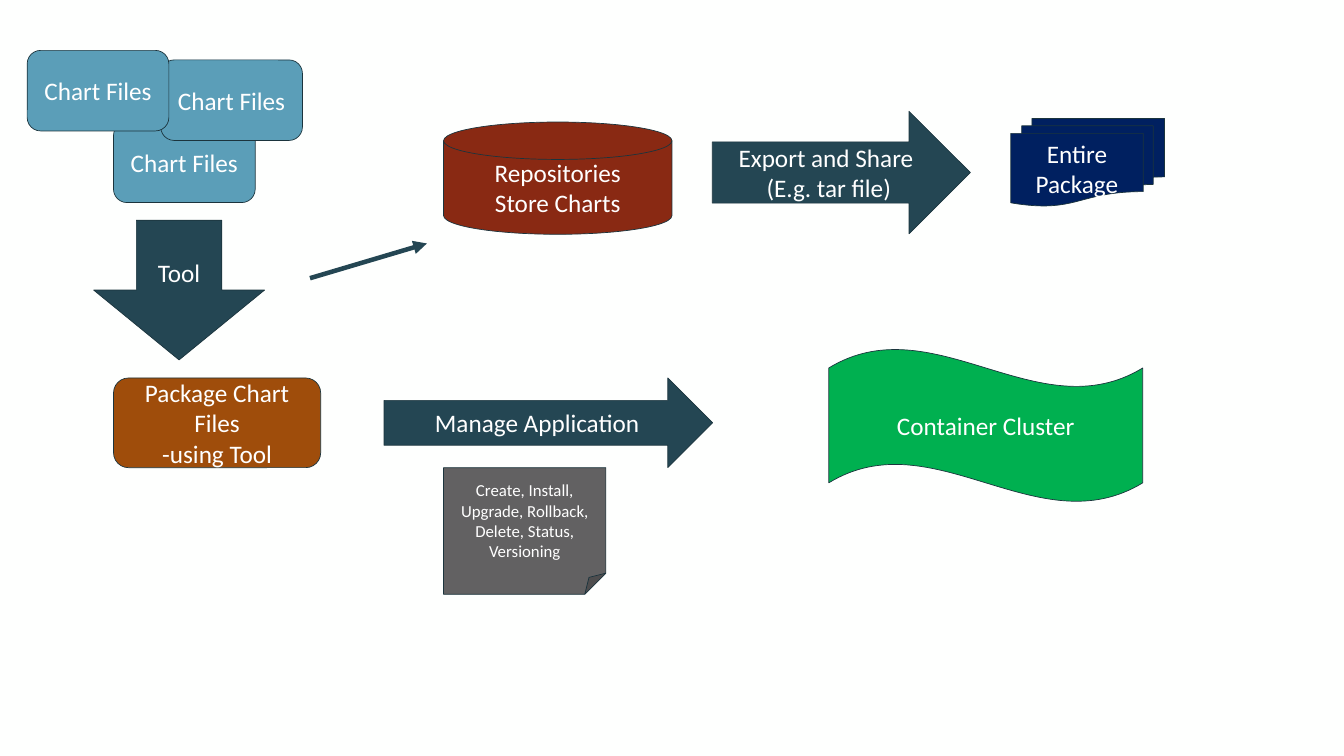
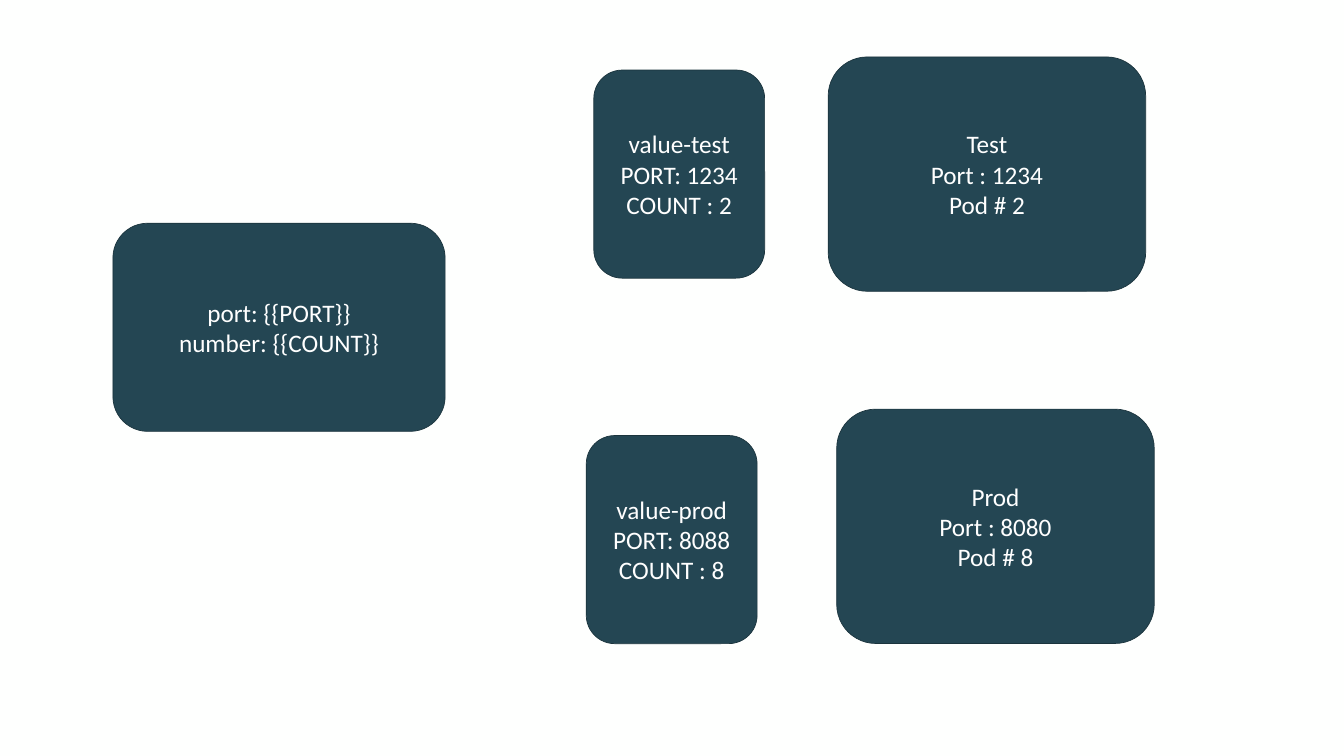
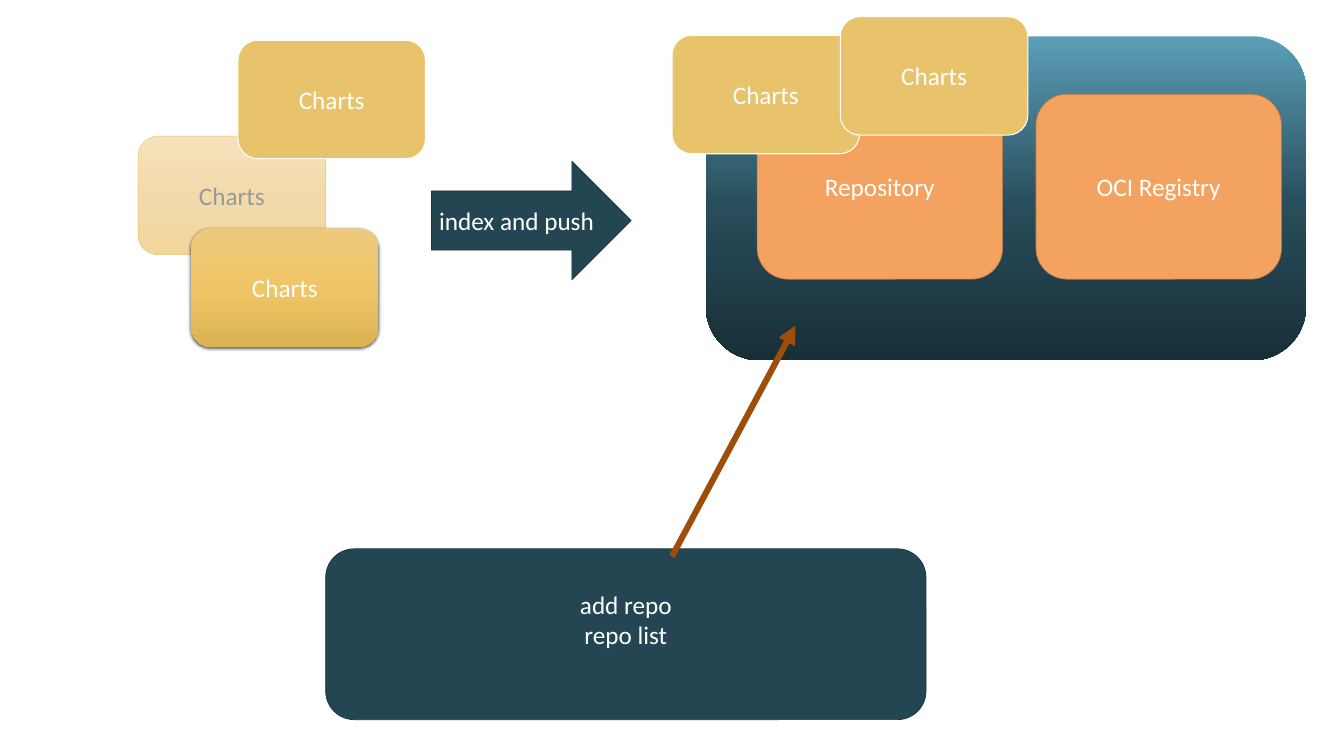
from lxml.etree import SubElement
from pptx import Presentation
from pptx.dml.color import RGBColor
from pptx.enum.shapes import MSO_CONNECTOR, MSO_SHAPE
from pptx.enum.text import MSO_ANCHOR, PP_ALIGN
from pptx.oxml.ns import qn
from pptx.util import Cm, Pt

COLORS = {
    "paper": "FEFFFE", "white": "FFFFFF", "faded text": "999999",
    "teal": "244653", "outline": "1B343D", "sky": "5B9EB8",
    "rust": "9F4D0B", "brick": "892913", "navy": "002060",
    "green": "00B050", "grey": "626162", "gold": "E9C36B",
    "orange": "F4A260", "orange edge": "B57847", "black": "000000",
}
FONT = "Calibri"
TEXT_SIZE = 36

# Gradients run from top to bottom: (position in %, colour)
GRADIENTS = {
    "faded gold": [(0, "F5E1BA"), (50, "F2DAAB"), (100, "F3D69C")],
    "raised gold": [(0, "EDCA7E"), (50, "EFC565"), (100, "DCB352")],
    "panel": [(0, "5B9EB8"), (52, "284D5B"), (100, "182F38")],
}

# Fills that depart from the thin dark outline: (line colour, width)
OUTLINES = {
    "faded gold": ("gold", 0.5), "gold": ("white", 1.5),
    "raised gold": None, "panel": None, "orange": ("orange edge", 1),
}

ROUND = MSO_SHAPE.ROUNDED_RECTANGLE
RIGHT = MSO_SHAPE.RIGHT_ARROW

# Sizes shared by several boxes, in cm
FILE = (7.14, 4.06)
VALUES = (8.61, 10.49)
ENVIRONMENT = (16, 11.81)
CHART = (9.45, 5.97)
STORE = (12.37, 9.32)
WIDE = 30.25

# Box: (shape, fill, (left, top), (width, height), lines, extra format)
# Arrow: ("arrow", colour, start, end, width in points)
WORKFLOW = [
    *[(ROUND, "sky", corner, FILE, ["Chart Files"])
      for corner in [(5.72, 6.15), (8.1, 3.02), (1.37, 2.54)]],
    (ROUND, "rust", (5.72, 19.05), (10.44, 4.52),
     ["Package Chart Files", "-using Tool"]),
    (MSO_SHAPE.DOWN_ARROW, "teal", (4.72, 11.1), (8.61, 7.04), ["Tool"]),
    (MSO_SHAPE.FLOWCHART_MAGNETIC_DISK, "brick", (22.35, 6.15), (11.51, 5.66),
     ["Repositories", "Store Charts"]),
    ("arrow", "teal", (15.62, 14.02), (21.51, 12.27), 6.5),
    (RIGHT, "teal", (35.89, 5.61), (13, 6.17),
     ["Export and Share", " (E.g. tar file)"]),
    (MSO_SHAPE.FLOWCHART_MULTIDOCUMENT, "navy", (50.93, 5.97), (7.75, 4.42),
     ["Entire Package"]),
    (RIGHT, "teal", (19.35, 19.05), (16.56, 4.52), ["Manage Application"]),
    (MSO_SHAPE.WAVE, "green", (41.76, 17.58), (15.82, 7.72),
     ["Container Cluster"]),
    (MSO_SHAPE.FOLDED_CORNER, "grey", (22.35, 23.57), (8.18, 6.38),
     ["Create, Install, Upgrade, Rollback, Delete, Status, Versioning"],
     {"size": 24}),
]

TEMPLATING = [
    (ROUND, "teal", (41.73, 2.87), ENVIRONMENT,
     ["Test", "Port : 1234", "Pod # 2"]),
    (ROUND, "teal", (42.16, 20.62), ENVIRONMENT,
     ["Prod", "Port : 8080", "Pod # 8"]),
    (ROUND, "teal", (29.92, 3.53), VALUES,
     ["value-test", "PORT: 1234", "COUNT : 2"]),
    (ROUND, "teal", (5.69, 11.25), (16.74, 10.49),
     ["port: {{PORT}}", "number: {{COUNT}}"]),
    (ROUND, "teal", (29.54, 21.95), VALUES,
     ["value-prod", "PORT: 8088", "COUNT : 8"]),
]

REGISTRY = [
    (ROUND, "faded gold", (6.96, 6.86), CHART, ["Charts"],
     {"color": "faded text"}),
    (ROUND, "gold", (11.99, 2.03), CHART, ["Charts"]),
    (ROUND, "raised gold", (9.63, 11.51), CHART, ["Charts"],
     {"shadow": True}),
    (RIGHT, "teal", (21.74, 8.13), (10.06, 5.97), ["index and push"]),
    (ROUND, "panel", (35.56, 1.83), (WIDE, 16.33), []),
    (ROUND, "orange", (38.15, 4.75), STORE, ["Repository"]),
    (ROUND, "orange", (52.2, 4.75), STORE, ["OCI Registry"]),
    (ROUND, "teal", (16.41, 27.66), (WIDE, 8.61), ["add repo", "repo list"],
     {"bottom": 1.65}),
    ("arrow", "rust", (33.86, 28.04), (40.08, 16.41), 8.75),
    (ROUND, "gold", (33.86, 1.78), CHART, ["Charts"]),
    (ROUND, "gold", (42.34, 0.84), CHART, ["Charts"]),
]


def rgb(name):
    return RGBColor.from_string(COLORS[name])


def lengths(*values):
    return [Cm(value) for value in values]


def paint(shape, fill):
    """Fill a shape with a plain colour or a gradient, and outline it."""
    if fill in GRADIENTS:
        shape.fill.gradient()
        shape.fill.gradient_angle = 270
        stops = shape._element.spPr.find(".//" + qn("a:gsLst"))
        for stop in list(stops):
            stops.remove(stop)
        for position, color in GRADIENTS[fill]:
            stop = SubElement(stops, qn("a:gs"), pos=str(position * 1000))
            SubElement(stop, qn("a:srgbClr"), val=color)
    else:
        shape.fill.solid()
        shape.fill.fore_color.rgb = rgb(fill)
    outline = OUTLINES.get(fill, ("outline", 1))
    if outline:
        shape.line.color.rgb = rgb(outline[0])
        shape.line.width = Pt(outline[1])
    else:
        shape.line.fill.background()


def add_soft_shadow(shape):
    effects = shape._element.spPr.find(qn("a:effectLst"))
    shadow = SubElement(effects, qn("a:outerShdw"), blurRad=str(Pt(4.5)),
                        dist=str(Pt(1.5)), dir="5400000", rotWithShape="0")
    color = SubElement(shadow, qn("a:srgbClr"), val=COLORS["black"])
    SubElement(color, qn("a:alpha"), val="63000")


def add_box(page, kind, fill, corner, size, lines, extra=None):
    extra = extra or {}
    box = page.shapes.add_shape(kind, *lengths(*corner, *size))
    box.shadow.inherit = False
    paint(box, fill)
    if extra.get("shadow"):
        add_soft_shadow(box)
    if not lines:
        return
    frame = box.text_frame
    frame.word_wrap = True
    frame.vertical_anchor = MSO_ANCHOR.MIDDLE
    if "bottom" in extra:
        frame.margin_bottom = Cm(extra["bottom"])
    frame.text = "\n".join(lines)
    for para in frame.paragraphs:
        para.alignment = PP_ALIGN.CENTER
        for span in para.runs:
            span.font.name = FONT
            span.font.size = Pt(extra.get("size", TEXT_SIZE))
            span.font.color.rgb = rgb(extra.get("color", "white"))


def add_arrow(page, color, start, end, width):
    arrow = page.shapes.add_connector(MSO_CONNECTOR.STRAIGHT,
                                      *lengths(*start, *end))
    arrow.line.color.rgb = rgb(color)
    arrow.line.width = Pt(width)
    SubElement(arrow.line._get_or_add_ln(), qn("a:tailEnd"), type="triangle")
    SubElement(arrow._element.spPr, qn("a:effectLst"))


def main():
    deck = Presentation()
    deck.slide_width, deck.slide_height = lengths(67.72, 38.1)
    paper = deck.slide_master.background.fill
    paper.solid()
    paper.fore_color.rgb = rgb("paper")
    blank = deck.slide_layouts[6]
    for parts in (WORKFLOW, TEMPLATING, REGISTRY):
        page = deck.slides.add_slide(blank)
        for kind, *details in parts:
            if kind == "arrow":
                add_arrow(page, *details)
            else:
                add_box(page, kind, *details)
    deck.save("out.pptx")


if __name__ == "__main__":
    main()
